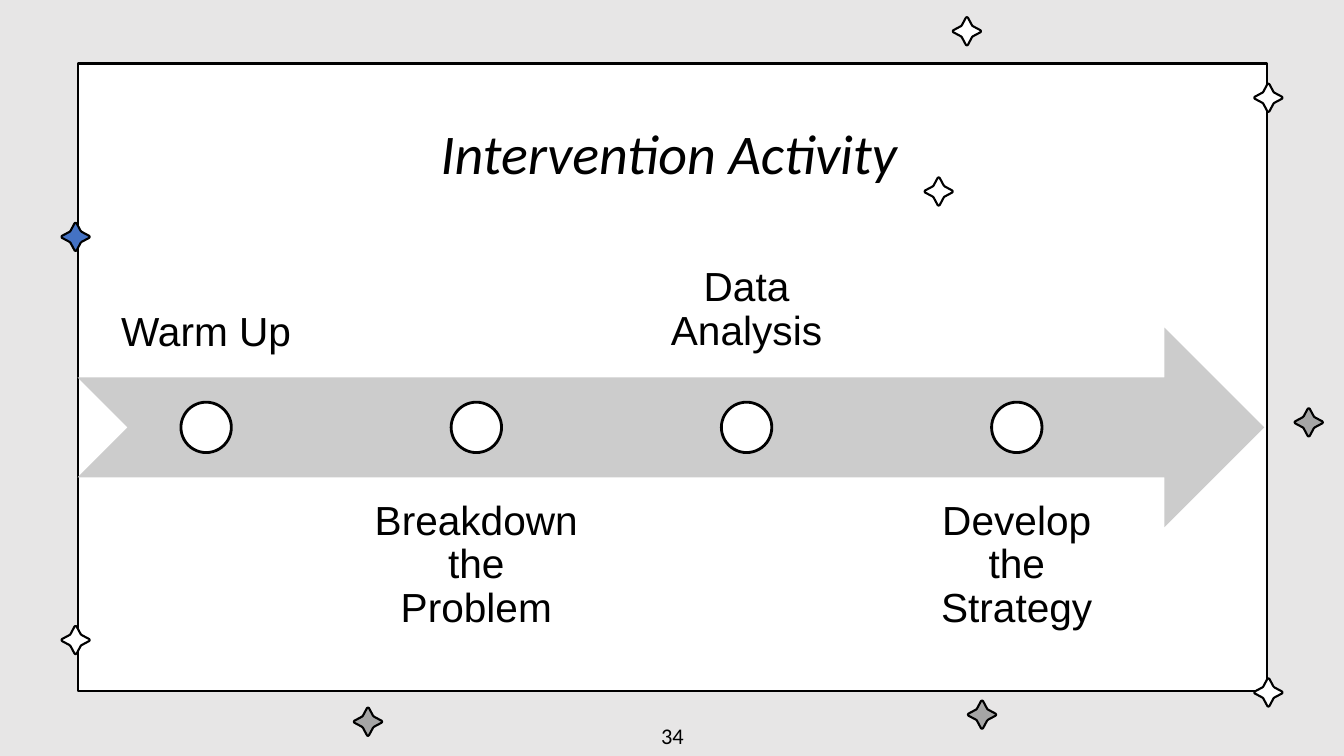
from dataclasses import dataclass

from pptx import Presentation
from pptx.dml.color import RGBColor
from pptx.enum.shapes import MSO_SHAPE as Preset
from pptx.enum.text import MSO_ANCHOR as Anchor, MSO_AUTO_SIZE as AutoSize, PP_ALIGN as Align
from pptx.shapes.autoshape import Shape
from pptx.slide import Slide
from pptx.util import Inches, Pt

BLACK = RGBColor(0x00, 0x00, 0x00)
WHITE = RGBColor(0xFF, 0xFF, 0xFF)
BACKDROP = RGBColor(0xE7, 0xE6, 0xE6)
GRAY = RGBColor(0xA5, 0xA5, 0xA5)
BLUE = RGBColor(0x44, 0x72, 0xC4)
ARROW_GRAY = RGBColor(0xCC, 0xCC, 0xCC)

STEP_LEFT, STEP_PITCH, STEP_WIDTH = 0.77, 2.68, 2.55
STEP_HEIGHT, DOT_TOP, DOT_SIZE = 1.98, 3.99, 0.5
UPPER_TOP, LOWER_TOP = 1.76, 4.73
STAR_QUARTER = [(0, -0.14), (0.01, -0.135), (0.05, -0.06), (0.06, -0.05), (0.135, -0.01)]


@dataclass(frozen=True)
class Star:
    x: float
    y: float
    color: RGBColor


STARS = [
    Star(12.98, 4.19, GRAY),
    Star(0.75, 2.35, BLUE),
    Star(12.58, 6.87, WHITE),
    Star(12.58, 0.97, WHITE),
    Star(0.75, 6.35, WHITE),
    Star(9.59, 0.31, WHITE),
    Star(9.74, 7.09, GRAY),
    Star(3.65, 7.16, GRAY),
    Star(9.31, 1.9, WHITE),
]
STEPS = ["Warm Up", "Breakdown the Problem", "Data Analysis", "Develop the Strategy"]


def paint(shape: Shape, color: RGBColor, line_width: float = 0) -> None:
    shape.shadow.inherit = False
    shape.fill.solid()
    shape.fill.fore_color.rgb = color
    if line_width:
        shape.line.color.rgb = BLACK
        shape.line.width = Pt(line_width)
    else:
        shape.line.fill.background()


def add_preset(slide: Slide, preset: Preset, left: float, top: float, width: float,
               height: float, color: RGBColor, line_width: float = 0) -> None:
    shape = slide.shapes.add_shape(preset, Inches(left), Inches(top), Inches(width), Inches(height))
    paint(shape, color, line_width)


def add_star(slide: Slide, star: Star) -> None:
    outline = []
    quarter = STAR_QUARTER
    for _ in range(4):
        outline += [(Inches(star.x + x), Inches(star.y + y)) for x, y in quarter]
        quarter = [(-y, x) for x, y in quarter]
    builder = slide.shapes.build_freeform(*outline[0])
    builder.add_line_segments(outline[1:], close=True)
    paint(builder.convert_to_shape(), star.color, 1.5)


def add_label(slide: Slide, text: str, left: float, top: float, width: float, height: float,
              anchor: Anchor, font_name: str, size: int) -> Shape:
    label = slide.shapes.add_textbox(Inches(left), Inches(top), Inches(width), Inches(height))
    frame = label.text_frame
    frame.word_wrap = True
    frame.vertical_anchor = anchor
    paragraph = frame.paragraphs[0]
    paragraph.text = text
    paragraph.alignment = Align.CENTER
    paragraph.font.name = font_name
    paragraph.font.size = Pt(size)
    paragraph.font.color.rgb = BLACK
    return label


def add_step(slide: Slide, index: int, text: str) -> None:
    left = STEP_LEFT + index * STEP_PITCH
    above = index % 2 == 0
    label = add_label(slide, text, left, UPPER_TOP if above else LOWER_TOP, STEP_WIDTH,
                      STEP_HEIGHT, Anchor.BOTTOM if above else Anchor.TOP, "Arial", 29)
    frame = label.text_frame
    frame.margin_left = frame.margin_right = Inches(0.23)
    frame.margin_top = frame.margin_bottom = Inches(0.23)
    frame.paragraphs[0].line_spacing = 0.9
    add_preset(slide, Preset.OVAL, left + (STEP_WIDTH - DOT_SIZE) / 2, DOT_TOP,
               DOT_SIZE, DOT_SIZE, WHITE, 2)


def place_title(slide: Slide, text: str) -> None:
    title = slide.shapes.title
    title.left, title.top = Inches(4.27), Inches(1.13)
    title.width, title.height = Inches(4.77), Inches(0.77)
    frame = title.text_frame
    frame.word_wrap = False
    frame.auto_size = AutoSize.SHAPE_TO_FIT_TEXT
    frame.vertical_anchor = Anchor.TOP
    paragraph = frame.paragraphs[0]
    paragraph.text = text
    paragraph.alignment = Align.LEFT
    paragraph.font.name = "Calibri"
    paragraph.font.size = Pt(40)
    paragraph.font.italic = True
    paragraph.font.color.rgb = BLACK
    slide.shapes._spTree.append(title._element)


def main() -> None:
    deck = Presentation()
    deck.slide_width, deck.slide_height = Inches(13.33), Inches(7.5)
    slide = deck.slides.add_slide(deck.slide_layouts.get_by_name("Title Only"))
    slide.background.fill.solid()
    slide.background.fill.fore_color.rgb = BACKDROP

    add_preset(slide, Preset.RECTANGLE, 0.77, 0.63, 11.8, 6.23, WHITE, 1.5)
    for star in STARS:
        add_star(slide, star)
    add_preset(slide, Preset.NOTCHED_RIGHT_ARROW, 0.77, 3.25, 11.77, 1.98, ARROW_GRAY)
    for index, text in enumerate(STEPS):
        add_step(slide, index, text)
    place_title(slide, "Intervention Activity")
    add_label(slide, "34", 5.17, 7.1, 3, 0.4, Anchor.MIDDLE, "Calibri", 16)
    deck.save("out.pptx")


if __name__ == "__main__":
    main()
